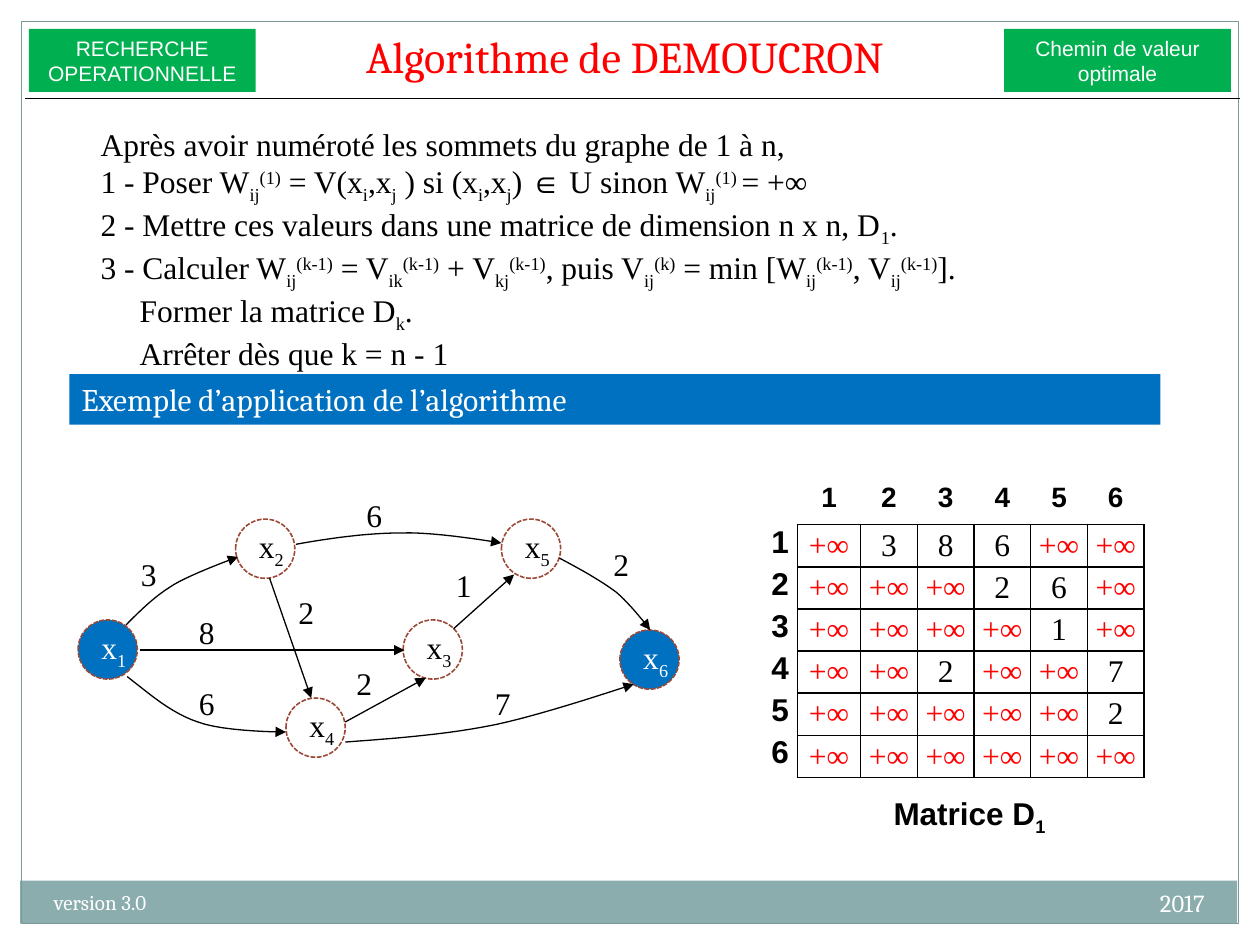
import pptx
import pptx.dml.color
import pptx.enum.dml
import pptx.enum.shapes
import pptx.enum.text
import pptx.oxml.ns
import pptx.util
from lxml import etree

ALIGN = pptx.enum.text.PP_ALIGN
ANCHOR = pptx.enum.text.MSO_ANCHOR
SHAPE = pptx.enum.shapes.MSO_SHAPE
CELL = 0.1  # the slide is a grid of 100 columns and 75 rows of square cells

BLACK, WHITE, RED = "000000", "FFFFFF", "FF0000"
BLUE, GREEN, BAND, FRAME, BROWN = "0070C0", "00B050", "8CADAE", "7C999A", "9B4936"
SERIF, SANS, HEADING = "Times New Roman", "Arial", "Cambria"
BASELINES = {"_": "-25000", "^": "30000", "|": "0"}

STEPS = [
    "Après avoir numéroté les sommets du graphe de 1 à n,",
    "1 - Poser W_ij^(1)| = V(x_i|,x_j| ) si (x_i|,x_j|) ∈ U sinon W_ij^(1) |= +∞",
    "2 - Mettre ces valeurs dans une matrice de dimension n x n, D_1|.",
    "3 - Calculer W_ij^(k-1)| = V_ik^(k-1)| + V_kj^(k-1)|, puis V_ij^(k)| = min "
    "[W_ij^(k-1)|, V_ij^(k-1)|].",
    "Former la matrice D_k|.",
    "Arrêter dès que k = n - 1",
]
NODES = {1: (6.2, 49.2), 2: (18.7, 41.2), 3: (32, 49.2),
         4: (22.7, 55.4), 5: (39.8, 41.2), 6: (49.2, 50)}
END_NODES = (1, 6)
# (from, to): weight
WEIGHTS = {(1, 2): 3, (1, 3): 8, (1, 4): 6, (2, 4): 2, (2, 5): 6,
           (3, 5): 1, (4, 3): 2, (4, 6): 7, (5, 6): 2}
WEIGHT_PLACES = {(1, 2): (10.2, 43.6), (1, 3): (14.8, 48.2), (1, 4): (14.8, 53.8),
                 (2, 4): (22.7, 46.6), (2, 5): (28.1, 38.9), (3, 5): (35.2, 44.4),
                 (4, 3): (27.3, 52.2), (4, 6): (38.3, 53.8), (5, 6): (47.7, 42.8)}
STRAIGHT_EDGES = {(1, 3): [(11.1, 51.6), (32.1, 51.6)],
                  (2, 4): [(21.4, 45.9), (24.7, 55.4)],
                  (3, 5): [(36, 49.9), (40.8, 45.6)],
                  (4, 3): [(27.4, 57.3), (33.8, 53.8)]}
# start, then two control points and an end for each Bézier piece
CURVED_EDGES = {
    (1, 2): [(10, 49.6), (11.2, 48.4), (12.3, 47.3), (13.8, 46.4),
             (15.3, 45.5), (18.9, 44.2), (18.9, 44.2)],
    (1, 4): [(10.1, 53.7), (11.9, 55.1), (13.6, 56.6), (15.7, 57.3),
             (17.8, 58.1), (22.7, 58.1), (22.7, 58.1)],
    (2, 5): [(23.5, 43.2), (26.3, 42.7), (29.2, 42.3), (31.9, 42.3),
             (34.6, 42.2), (39.8, 43.1), (39.8, 43.1)],
    (4, 6): [(27.4, 58.9), (31.5, 58.6), (35.5, 58.3), (39.4, 57.5),
             (43.2, 56.7), (50.3, 54.3), (50.3, 54.3)],
    (5, 6): [(44.4, 44.3), (46.1, 45.2), (47.7, 46.1), (48.9, 47),
             (50.1, 48), (51.6, 50), (51.6, 50)],
}


def cells(*values):
    return [pptx.util.Inches(v * CELL) for v in values]


def rgb(color):
    return pptx.dml.color.RGBColor.from_string(color)


def write(tf, lines, size, color, font, align=ALIGN.LEFT, bold=False):
    """Write paragraphs; _ starts a subscript, ^ a superscript, | plain text."""
    for i, line in enumerate(lines):
        p = tf.add_paragraph() if i else tf.paragraphs[0]
        p.alignment = align
        pieces = [["|", ""]]
        for char in line:
            if char in BASELINES:
                pieces.append([char, ""])
            else:
                pieces[-1][1] += char
        for mark, text in pieces:
            r = p.add_run()
            r.text = text
            r.font.size, r.font.name, r.font.bold = pptx.util.Pt(size), font, bold
            r.font.color.rgb = rgb(color)
            if mark != "|":
                r._r.get_or_add_rPr().set("baseline", BASELINES[mark])


def add_text(s, box, lines, size, color, font, **style):
    tf = s.shapes.add_textbox(*cells(*box)).text_frame
    tf.word_wrap = True
    write(tf, lines, size, color, font, **style)
    return tf


def add_box(s, box, fill=None, line=None, kind=SHAPE.RECTANGLE, width=0.75):
    sp = s.shapes.add_shape(kind, *cells(*box))
    sp.shadow.inherit = False
    if fill:
        sp.fill.solid()
        sp.fill.fore_color.rgb = rgb(fill)
    else:
        sp.fill.background()
    if line:
        sp.line.color.rgb, sp.line.width = rgb(line), pptx.util.Pt(width)
    else:
        sp.line.fill.background()
    return sp


def ink(sp, arrow):
    """Give a line its thin black stroke and, for an edge, its arrowhead."""
    sp.line.color.rgb, sp.line.width = rgb(BLACK), pptx.util.Pt(0.75)
    if arrow:
        ln = sp.line._get_or_add_ln()
        etree.SubElement(ln, pptx.oxml.ns.qn("a:tailEnd"), type="triangle")


def add_line(s, start, end, arrow=False):
    straight = pptx.enum.shapes.MSO_CONNECTOR.STRAIGHT
    sp = s.shapes.add_connector(straight, *cells(*start, *end))
    ink(sp, arrow)
    etree.SubElement(sp._element.spPr, pptx.oxml.ns.qn("a:effectLst"))


def bezier(a, b, c, d, steps=12):
    """Points along a cubic curve, without its start."""
    for t in (i / steps for i in range(1, steps + 1)):
        u = 1 - t
        yield cells(*(u**3 * m + 3 * u * u * t * n + 3 * u * t * t * o + t**3 * q
                      for m, n, o, q in zip(a, b, c, d)))


def add_curve(s, points):
    builder = s.shapes.build_freeform(*cells(*points[0]))
    for i in range(0, len(points) - 1, 3):
        builder.add_line_segments(list(bezier(*points[i:i + 4])), close=False)
    sp = builder.convert_to_shape()
    sp.shadow.inherit = False
    sp.fill.background()
    ink(sp, arrow=True)


def add_node(s, number):
    end = number in END_NODES
    sp = add_box(s, (*NODES[number], 4.7, 4.7), BLUE if end else None, BROWN, SHAPE.OVAL, 0.9)
    sp.line.dash_style = pptx.enum.dml.MSO_LINE.SQUARE_DOT
    tf = sp.text_frame
    tf.word_wrap = False
    tf.margin_left, tf.margin_right, tf.margin_top, tf.margin_bottom = cells(1, 0, 0, 0)
    write(tf, [f"x_{number}"], 18, WHITE if end else BLACK, SERIF, ALIGN.CENTER)


def add_graph(s):
    for number in NODES:
        add_node(s, number)
    for points in STRAIGHT_EDGES.values():
        add_line(s, *points, arrow=True)
    for points in CURVED_EDGES.values():
        add_curve(s, points)
    for edge, place in WEIGHT_PLACES.items():
        add_text(s, (*place, 4.7, 4), [str(WEIGHTS[edge])], 18, BLACK, SERIF)


def set_borders(cell, sides):
    """Draw the named sides (L, R, T, B) in black and hide the others."""
    tc_pr = cell._tc.get_or_add_tcPr()
    for side in "LRTB":
        ln = etree.SubElement(tc_pr, pptx.oxml.ns.qn(f"a:ln{side}"), w="12700")
        if side in sides:
            fill = etree.SubElement(ln, pptx.oxml.ns.qn("a:solidFill"))
            etree.SubElement(fill, pptx.oxml.ns.qn("a:srgbClr"), val=BLACK)
        else:
            etree.SubElement(ln, pptx.oxml.ns.qn("a:noFill"))


def add_matrix(s):
    n = len(NODES)
    table = s.shapes.add_table(n + 1, n + 1, *cells(55.5, 38.3, 35.3, 23.4)).table
    table.first_row = table.horz_banding = False
    for column, width in zip(table.columns, cells(7.8, 5, *[4.5] * (n - 1))):
        column.width = width
    for i in range(n + 1):
        for j in range(n + 1):
            cell = table.cell(i, j)
            inner = i and j
            set_borders(cell, "LRTB" if inner else "R" if i else "B" if j else "")
            cell.fill.background()
            cell.margin_top = cell.margin_bottom = 0
            cell.margin_left = cell.margin_right = cells(0 if inner else 0.7)[0]
            if inner:
                cell.vertical_anchor = ANCHOR.MIDDLE
                weight = WEIGHTS.get((i, j))
                write(cell.text_frame, [str(weight or "+∞")], 18,
                      BLACK if weight else RED, SERIF, ALIGN.CENTER)
            elif i or j:
                write(cell.text_frame, [str(i or j)], 18 if i else 16, BLACK, SANS,
                      ALIGN.RIGHT if i else ALIGN.CENTER, bold=True)
    add_text(s, (63.3, 62.5, 27.3, 4), ["Matrice D_1"], 18, BLACK, SANS,
             align=ALIGN.CENTER, bold=True)


def add_frame(s):
    add_box(s, (1.6, 69.9, 96.6, 3.4), BAND)
    add_box(s, (1.7, 1.7, 96.6, 71.6), line=FRAME)
    add_text(s, (63.3, 70, 33.3, 4), ["2017"], 14, WHITE, HEADING, align=ALIGN.RIGHT)
    add_text(s, (3.3, 70.1, 39.2, 4), ["version 3.0"], 12, WHITE, HEADING)
    for left, lines in ((2.3, ["RECHERCHE", "OPERATIONNELLE"]),
                        (79.7, ["Chemin de valeur", "optimale"])):
        sp = add_box(s, (left, 2.3, 18, 5), GREEN)
        write(sp.text_frame, lines, 12, WHITE, SANS, ALIGN.CENTER)
    add_line(s, (2, 7.8), (98.4, 7.8))


def set_title(s, text):
    sp = s.shapes.title
    sp.left, sp.top, sp.width, sp.height = cells(20.3, 2.5, 58.6, 4.5)
    tf = sp.text_frame
    tf.auto_size = pptx.enum.text.MSO_AUTO_SIZE.NONE
    tf.vertical_anchor = ANCHOR.BOTTOM
    write(tf, [text], 25.2, RED, HEADING, ALIGN.CENTER)


def main():
    prs = pptx.Presentation()
    prs.slide_width, prs.slide_height = cells(100, 75)
    s = prs.slides.add_slide(prs.slide_layouts[5])
    set_title(s, "Algorithme de DEMOUCRON")
    add_frame(s)
    tf = add_text(s, (7, 9.4, 86.6, 19.2), STEPS, 18, BLACK, SERIF)
    for p in tf.paragraphs[-2:]:
        p._p.get_or_add_pPr().set("marL", str(cells(3.1)[0]))
    sp = add_box(s, (5.5, 29.7, 86.6, 4), BLUE)
    write(sp.text_frame, ["Exemple d’application de l’algorithme"], 18, WHITE, HEADING)
    add_graph(s)
    add_matrix(s)
    prs.save("out.pptx")


if __name__ == "__main__":
    main()
